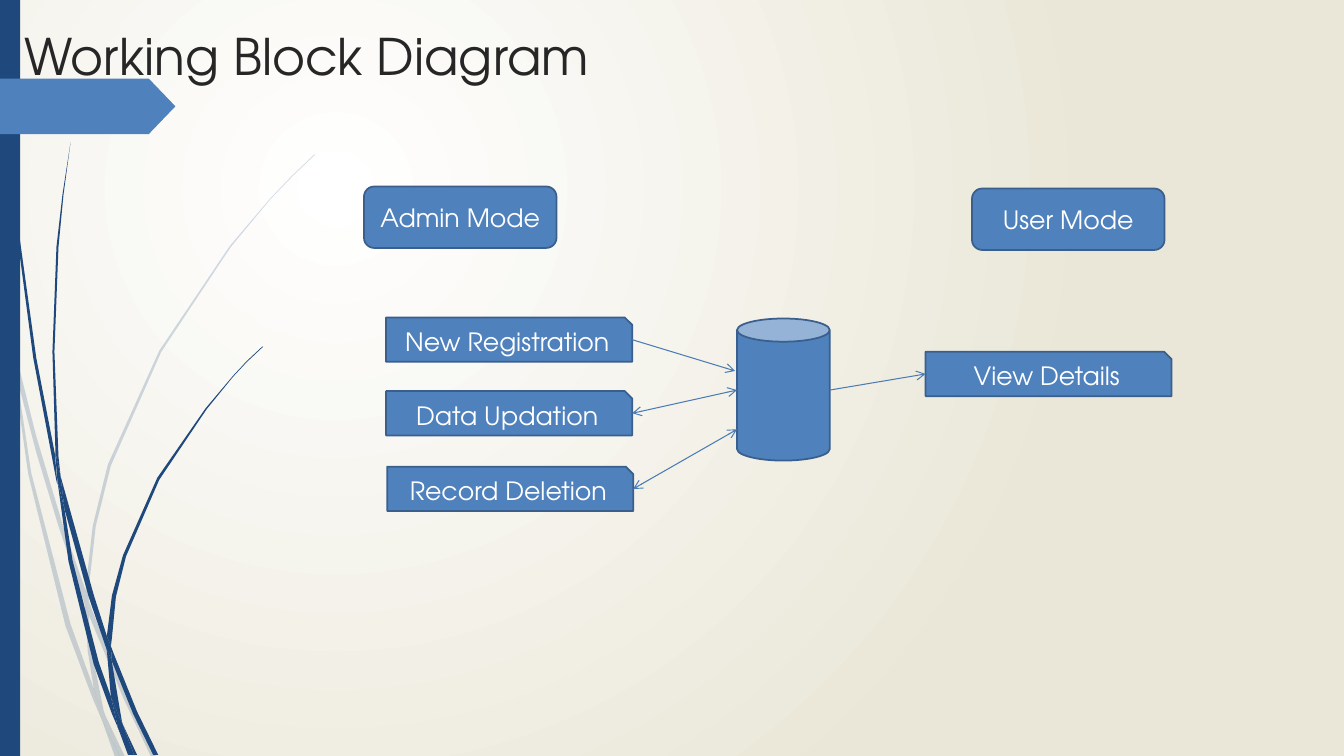
"""Build the working block diagram slide."""
from dataclasses import dataclass
from typing import NamedTuple, Optional

import pptx
import pptx.dml.color
import pptx.enum.shapes
import pptx.enum.text
import pptx.oxml.ns
import pptx.shapes.autoshape
import pptx.slide
import pptx.util
from lxml import etree

Inches = pptx.util.Inches
Color = pptx.dml.color.RGBColor.from_string
Kind = pptx.enum.shapes.MSO_SHAPE
Anchor = pptx.enum.text.MSO_ANCHOR
Align = pptx.enum.text.PP_ALIGN
qn = pptx.oxml.ns.qn


@dataclass(frozen=True)
class Theme:
    font: str = "TeX Gyre Adventor"
    title_size: float = 36
    label_size: float = 18
    outline_width: float = 1.25
    arrow_width: float = 0.75
    dark: str = "1F497D"
    accent: str = "4F81BD"
    outline: str = "3A5F8C"
    arrow: str = "4B7BB5"
    title: str = "262626"
    label: str = "FFFFFF"
    glow: str = "FFFFFF"
    backdrop: str = "EAE7D8"


THEME = Theme()


class Block(NamedTuple):
    kind: Kind
    left: float
    top: float
    width: float
    height: float
    text: str = ""


class Arrow(NamedTuple):
    start: tuple[float, float]
    end: tuple[float, float]
    source: Optional[str] = None
    target: Optional[str] = None
    both_ways: bool = False


class Grass(NamedTuple):
    alpha: int
    blades: list[list[tuple[float, float]]]


MODE_SIZE = (1.91, 0.61)
ACTION_SIZE = (2.44, 0.44)

BLOCKS = [
    Block(Kind.CAN, 7.31, 3.16, 0.92, 1.41),
    Block(Kind.ROUNDED_RECTANGLE, 3.61, 1.85, *MODE_SIZE, "Admin Mode"),
    Block(Kind.ROUNDED_RECTANGLE, 9.64, 1.87, *MODE_SIZE, "User Mode"),
    Block(Kind.SNIP_1_RECTANGLE, 3.83, 3.15, *ACTION_SIZE, "New Registration"),
    Block(Kind.SNIP_1_RECTANGLE, 3.83, 3.88, *ACTION_SIZE, "Data Updation"),
    Block(Kind.SNIP_1_RECTANGLE, 3.84, 4.63, *ACTION_SIZE, "Record Deletion"),
    Block(Kind.SNIP_1_RECTANGLE, 9.18, 3.49, *ACTION_SIZE, "View Details"),
]

ARROWS = [
    Arrow((6.27, 3.37), (7.29, 3.68), source="New Registration"),
    Arrow((8.23, 3.87), (9.18, 3.71), target="View Details"),
    Arrow((6.27, 4.1), (7.31, 3.87), source="Data Updation", both_ways=True),
    Arrow((6.28, 4.85), (7.31, 4.26), source="Record Deletion", both_ways=True),
]

PALE_GRASS = Grass(20, [
    [(0.11, 3.5), (0.09, 3.22), (0, 2.82), (0, 2.99), (0.1, 3.44)],
    [(0.58, 5.22), (0.84, 5.99), (0.85, 5.86), (0.62, 5.2), (0.36, 4.33), (0.14, 3.45),
     (0.17, 3.76), (0.36, 4.49)],
    [(0.92, 6.07), (0.88, 5.96), (0.88, 6.1), (1.23, 6.94), (1.5, 7.51), (1.55, 7.51), (1.27, 6.92)],
    [(1.19, 7.51), (1.24, 7.51), (1.05, 7.11)],
    [(0.93, 6.83), (0.7, 6.19), (0.31, 4.69), (0.17, 3.76), (0.11, 3.5), (0.28, 4.7), (0.65, 6.21),
     (0.92, 6.93), (1.01, 7.14), (0.99, 7.07)],
    [(0.84, 5.99), (0.87, 6.46), (0.93, 6.83), (0.96, 6.92), (1.05, 7.11), (1.03, 7.06), (0.91, 6.46),
     (0.88, 6.1), (0.88, 6.08)],
    [(0.88, 5.84), (0.95, 5.22), (1.1, 4.62), (1.6, 3.49), (2.29, 2.45), (2.68, 1.98), (2.9, 1.75),
     (3.12, 1.54), (3.12, 1.53), (2.89, 1.75), (2.68, 1.97), (2.28, 2.44), (1.58, 3.48),
     (1.07, 4.61), (0.92, 5.22), (0.85, 5.84), (0.85, 5.86), (0.88, 5.96)],
    [(1.01, 7.14), (1.14, 7.51), (1.19, 7.51)],
    [(0.88, 6.08), (0.88, 6.1), (0.88, 5.96), (0.85, 5.86), (0.84, 5.99)],
    [(0.96, 6.92), (0.93, 6.83), (0.99, 7.07), (1.01, 7.14), (1.19, 7.51), (1.05, 7.11)],
])

DARK_GRASS = Grass(100, [
    [(0.07, 1.1), (0.17, 2.33), (0.33, 3.55), (0.56, 4.77), (0.57, 4.81), (0.55, 4.57), (0.55, 4.53),
     (0.36, 3.55), (0.19, 2.32), (0.08, 1.09), (0.05, 0.48), (0.04, 0), (0.03, 0), (0.04, 0.48)],
    [(0.88, 5.92), (1.06, 6.45), (1.06, 6.33), (1.06, 6.31), (0.93, 5.9), (0.6, 4.72), (0.64, 5.05)],
    [(1.13, 6.49), (1.1, 6.41), (1.11, 6.56), (1.32, 7.08), (1.52, 7.49), (1.57, 7.49), (1.36, 7.06)],
    [(1.1, 6.91), (0.98, 6.57), (0.72, 5.56), (0.64, 5.05), (0.57, 4.77), (0.68, 5.57), (0.93, 6.59),
     (1.11, 7.08), (1.17, 7.22), (1.16, 7.17)],
    [(0.6, 4.72), (0.58, 4.53), (0.54, 3.49), (0.58, 2.45), (0.63, 1.93), (0.7, 1.41), (0.62, 1.93),
     (0.56, 2.45), (0.52, 3.49), (0.55, 4.49)],
    [(1.33, 7.49), (1.36, 7.49), (1.22, 7.19)],
    [(0.57, 4.77), (0.64, 5.05), (0.6, 4.72), (0.55, 4.49), (0.55, 4.53)],
    [(1.11, 6.33), (1.15, 5.92), (1.25, 5.52), (1.58, 4.76), (2.05, 4.06), (2.31, 3.74), (2.45, 3.59),
     (2.61, 3.44), (2.6, 3.44), (2.45, 3.58), (2.31, 3.73), (2.04, 4.05), (1.56, 4.74),
     (1.22, 5.51), (1.11, 5.91), (1.06, 6.31), (1.1, 6.41)],
    [(1.17, 7.22), (1.27, 7.49), (1.31, 7.49)],
    [(1.06, 6.45), (1.1, 6.91), (1.16, 7.06), (1.22, 7.19), (1.21, 7.16), (1.11, 6.56), (1.09, 6.51)],
    [(1.06, 6.45), (1.09, 6.51), (1.11, 6.56), (1.1, 6.41), (1.06, 6.31)],
    [(1.16, 7.06), (1.1, 6.91), (1.16, 7.17), (1.17, 7.22), (1.3, 7.49), (1.33, 7.49), (1.22, 7.19)],
])


def set_background(slide: pptx.slide.Slide) -> None:
    """Fill the slide with a radial glow."""
    fill = slide.background.fill
    fill.gradient()
    for stop, color in zip(fill.gradient_stops, (THEME.glow, THEME.backdrop)):
        stop.color.rgb = Color(color)
    gradient = slide.element.find(".//" + qn("a:gradFill"))
    gradient.remove(gradient.find(qn("a:lin")))
    circle = etree.SubElement(gradient, qn("a:path"), path="circle")
    etree.SubElement(circle, qn("a:fillToRect"), l="50000", t="50000", r="100000", b="100000")


def write_text(shape: pptx.shapes.autoshape.Shape, text: str, *, size: float, color: str,
               align: Align, anchor: Anchor) -> None:
    """Put one formatted paragraph in a shape."""
    frame = shape.text_frame
    frame.word_wrap = True
    frame.vertical_anchor = anchor
    paragraph = frame.paragraphs[0]
    paragraph.alignment = align
    run = paragraph.add_run()
    run.text = text
    run.font.name = THEME.font
    run.font.size = pptx.util.Pt(size)
    run.font.color.rgb = Color(color)


def paint(shape: pptx.shapes.autoshape.Shape, color: str, outline: Optional[str] = None) -> None:
    """Set a flat fill and an optional outline."""
    shape.shadow.inherit = False
    shape.fill.solid()
    shape.fill.fore_color.rgb = Color(color)
    if outline:
        shape.line.color.rgb = Color(outline)
        shape.line.width = pptx.util.Pt(THEME.outline_width)
    else:
        shape.line.fill.background()


def add_block(slide: pptx.slide.Slide, block: Block, color: str = THEME.accent,
              outline: Optional[str] = THEME.outline) -> pptx.shapes.autoshape.Shape:
    """Draw a preset shape with its label."""
    shape = slide.shapes.add_shape(block.kind, *map(Inches, block[1:5]))
    paint(shape, color, outline)
    if block.text:
        write_text(shape, block.text, size=THEME.label_size, color=THEME.label,
                   align=Align.CENTER, anchor=Anchor.MIDDLE)
    return shape


def add_grass(slide: pptx.slide.Slide, grass: Grass) -> None:
    """Draw the blades of one tuft."""
    for blade in grass.blades:
        start, *rest = [(Inches(x), Inches(y)) for x, y in blade]
        builder = slide.shapes.build_freeform(*start)
        builder.add_line_segments(rest, close=True)
        shape = builder.convert_to_shape()
        paint(shape, THEME.dark)
        if grass.alpha < 100:
            color = shape.element.spPr.find(".//" + qn("a:srgbClr"))
            etree.SubElement(color, qn("a:alpha"), val=str(grass.alpha * 1000))


def add_arrow(slide: pptx.slide.Slide, arrow: Arrow,
              shapes: dict[str, pptx.shapes.autoshape.Shape]) -> None:
    """Draw an arrow and join it to its blocks."""
    connector = slide.shapes.add_connector(pptx.enum.shapes.MSO_CONNECTOR.STRAIGHT,
                                           *map(Inches, arrow.start + arrow.end))
    if arrow.source:
        connector.begin_connect(shapes[arrow.source], 3)
    if arrow.target:
        connector.end_connect(shapes[arrow.target], 1)
    connector.line.color.rgb = Color(THEME.arrow)
    connector.line.width = pptx.util.Pt(THEME.arrow_width)
    line = connector.element.spPr.find(qn("a:ln"))
    for tag in ("a:headEnd", "a:tailEnd") if arrow.both_ways else ("a:tailEnd",):
        etree.SubElement(line, qn(tag), type="arrow")
    etree.SubElement(connector.element.spPr, qn("a:effectLst"))


def main() -> None:
    """Assemble and save the slide."""
    presentation = pptx.Presentation()
    presentation.slide_width, presentation.slide_height = Inches(13.33), Inches(7.5)
    slide = presentation.slides.add_slide(presentation.slide_layouts[6])
    set_background(slide)
    for grass in (PALE_GRASS, DARK_GRASS):
        add_grass(slide, grass)
    add_block(slide, Block(Kind.RECTANGLE, 0, 0, 0.2, 7.5), THEME.dark, None)
    banner = add_block(slide, Block(Kind.PENTAGON, 0, 0.78, 1.74, 0.55), outline=None)
    banner.adjustments[0] = 0.48
    title = slide.shapes.add_textbox(*map(Inches, (0.14, 0.2, 6.18, 2.27)))
    write_text(title, "Working Block Diagram", size=THEME.title_size, color=THEME.title,
               align=Align.LEFT, anchor=Anchor.TOP)
    shapes = {block.text: add_block(slide, block) for block in BLOCKS}
    for arrow in ARROWS:
        add_arrow(slide, arrow, shapes)
    presentation.save("out.pptx")


if __name__ == "__main__":
    main()
